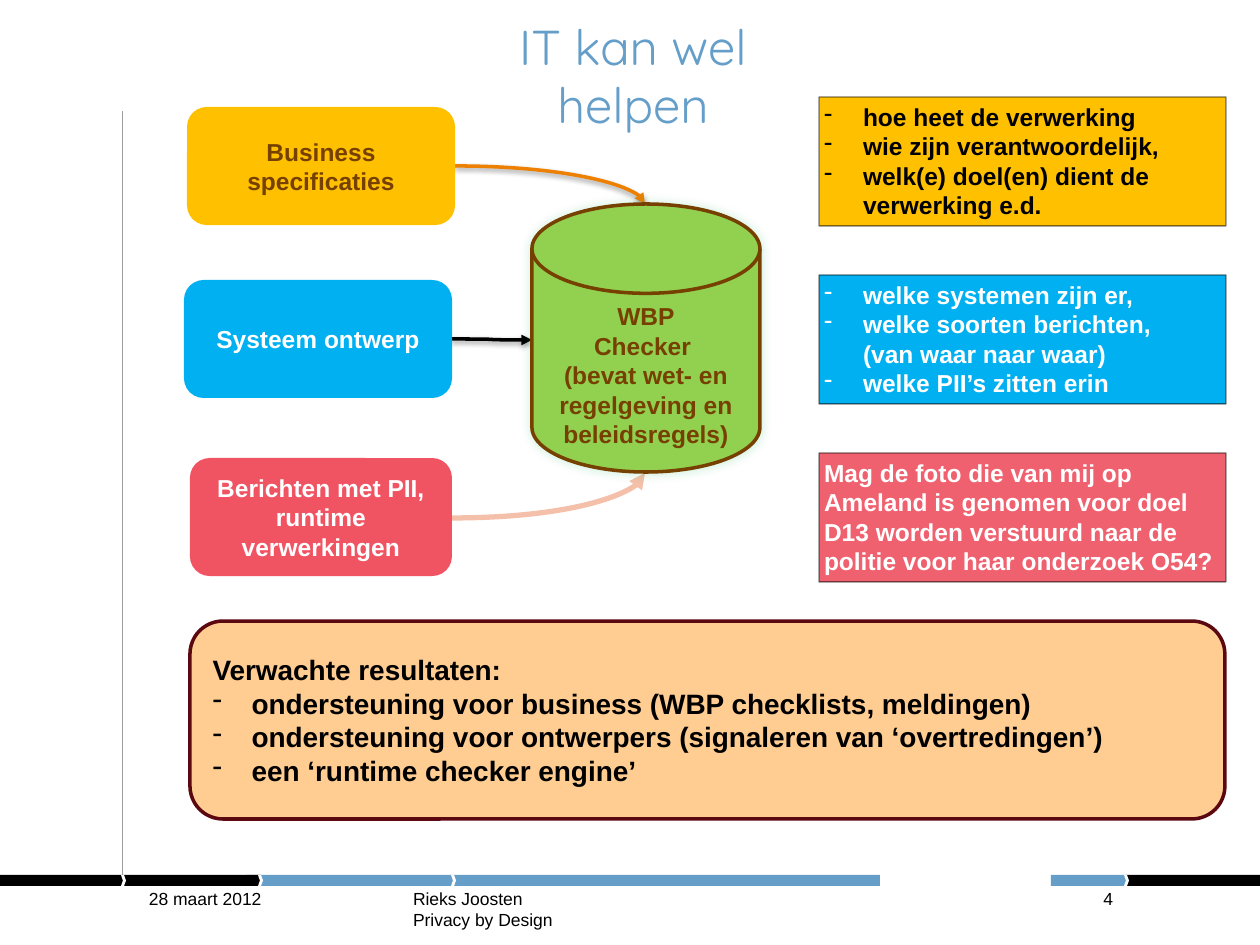
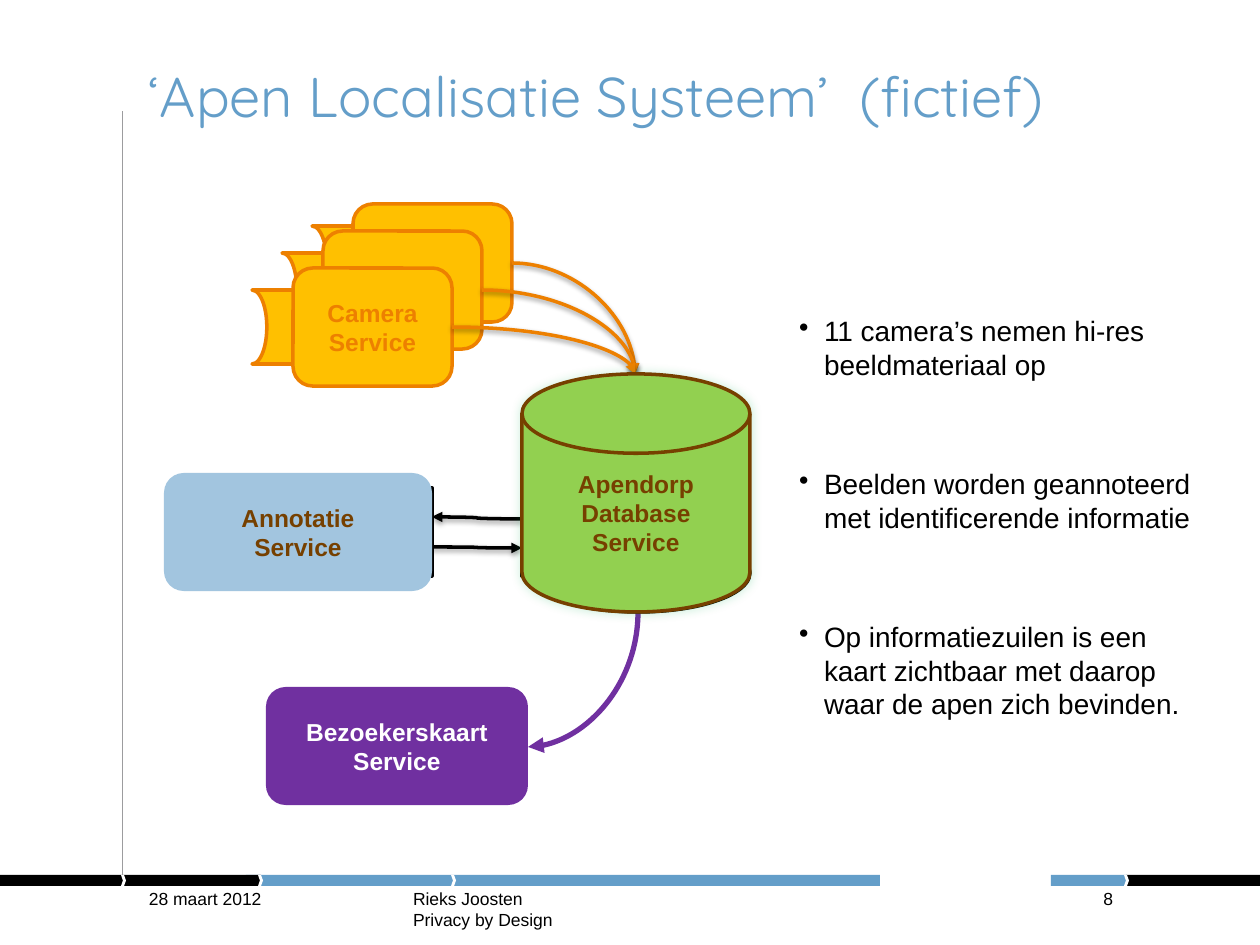
import copy
from dataclasses import dataclass, field
from typing import Optional

import lxml.etree
import pptx
import pptx.dml.color
import pptx.enum.shapes
import pptx.enum.text
import pptx.oxml
import pptx.oxml.ns
import pptx.util

RGBColor = pptx.dml.color.RGBColor
Shape = pptx.enum.shapes.MSO_SHAPE
Align = pptx.enum.text.PP_ALIGN
Anchor = pptx.enum.text.MSO_ANCHOR
qn = pptx.oxml.ns.qn

# Scale: 126 px to the inch
EMU_PER_PX = 914400 / 126
SLIDE_WIDTH, SLIDE_HEIGHT = 1260, 945

# Colours
BLUE = RGBColor(0x64, 0x9E, 0xC9)
BLACK = RGBColor(0, 0, 0)
WHITE = RGBColor(255, 255, 255)
GREY = RGBColor(0x9C, 0x9C, 0x9E)
AMBER = RGBColor(0xFF, 0xC0, 0x00)
ORANGE = RGBColor(0xED, 0x80, 0x00)
SKY = RGBColor(0x00, 0xB0, 0xF0)
PALE_BLUE = RGBColor(0xA2, 0xC5, 0xDF)
RED = RGBColor(0xF0, 0x54, 0x63)
LIGHT_RED = RGBColor(0xF0, 0x61, 0x6F)
SALMON = RGBColor(0xF4, 0xC0, 0xAA)
GREEN = RGBColor(0x92, 0xD0, 0x50)
SHADOW_GREEN = RGBColor(0x00, 0xB0, 0x50)
BROWN = RGBColor(0x76, 0x40, 0x00)
PEACH = RGBColor(0xFF, 0xCD, 0x92)
MAROON = RGBColor(0x5C, 0x08, 0x10)
PURPLE = RGBColor(0x70, 0x30, 0xA0)

# Text formats
TITLE = {"name": "Quicksand", "size": pptx.util.Pt(32), "bold": False}
SMALL_TITLE = TITLE | {"size": pptx.util.Pt(28)}
FOOTER = {"name": "Arial", "size": pptx.util.Pt(10), "bold": False}
BODY = FOOTER | {"size": pptx.util.Pt(16)}
RESULT = BODY | {"bold": True}
LABEL = RESULT | {"size": pptx.util.Pt(14)}


@dataclass(frozen=True)
class Box:
    left: int
    top: int
    width: int
    height: int


@dataclass(frozen=True)
class Text:
    lines: tuple[str, ...]
    color: RGBColor = BLACK
    format: dict = field(default_factory=lambda: LABEL)
    align: Align = Align.CENTER
    anchor: Anchor = Anchor.MIDDLE
    insets: tuple[int, int, int, int] = (13, 6, 13, 6)
    bullet: str = ""
    first_bullet: int = 0
    indent: int = 39
    gap: int = 0


@dataclass(frozen=True)
class Block:
    box: Box
    fill: RGBColor
    text: Optional[Text] = None
    kind: Shape = Shape.ROUNDED_RECTANGLE
    line: Optional[RGBColor] = None
    line_width: float = 2
    rotation: int = 0


@dataclass(frozen=True)
class Arrow:
    start: tuple[int, int]
    end: tuple[int, int]
    color: RGBColor
    width: float = 2
    preset: str = "curvedConnector2"
    arrowhead: str = "tailEnd"
    shadow: bool = True


def px(length: float) -> int:
    return round(length * EMU_PER_PX)


def add_effects(properties, color=None, alpha=0, blur=0.0, distance=0.0, angle=0) -> None:
    """Add an effect list: empty, or with one outer shadow."""
    effects = lxml.etree.SubElement(properties, qn("a:effectLst"))
    if color is None:
        return
    shadow = lxml.etree.SubElement(
        effects, qn("a:outerShdw"), blurRad=str(pptx.util.Pt(blur)),
        dist=str(pptx.util.Pt(distance)), dir=str(angle * 60000), rotWithShape="0")
    tint = lxml.etree.SubElement(shadow, qn("a:srgbClr"), val=str(color))
    lxml.etree.SubElement(tint, qn("a:alpha"), val=str(alpha * 1000))


def write_text(shape, text: Text) -> None:
    frame = shape.text_frame
    frame.word_wrap = True
    frame.vertical_anchor = text.anchor
    for side, inset in zip(("left", "top", "right", "bottom"), text.insets):
        setattr(frame, f"margin_{side}", px(inset))
    for index, line in enumerate(text.lines):
        paragraph = frame.add_paragraph() if index else frame.paragraphs[0]
        paragraph.text = line
        paragraph.alignment = text.align
        if index and text.gap:
            paragraph.space_before = pptx.util.Pt(text.gap)
        for run in paragraph.runs:
            for name, value in text.format.items():
                setattr(run.font, name, value)
            run.font.color.rgb = text.color
        for line_break in paragraph._p.findall(qn("a:br")):
            line_break.append(copy.deepcopy(paragraph.runs[0]._r.rPr))
        if text.bullet and index >= text.first_bullet:
            properties = paragraph._p.get_or_add_pPr()
            properties.set("marL", str(px(text.indent)))
            properties.set("indent", str(-px(text.indent)))
            lxml.etree.SubElement(properties, qn("a:buChar"), char=text.bullet)


def add_text(slide, box: Box, text: Text) -> None:
    shape = slide.shapes.add_textbox(px(box.left), px(box.top), px(box.width), px(box.height))
    write_text(shape, text)


def add_block(slide, block: Block):
    box = block.box
    shape = slide.shapes.add_shape(
        block.kind, px(box.left), px(box.top), px(box.width), px(box.height))
    shape.shadow.inherit = False
    shape.rotation = block.rotation
    shape.fill.solid()
    shape.fill.fore_color.rgb = block.fill
    if block.line is None:
        shape.line.fill.background()
    else:
        shape.line.color.rgb = block.line
        shape.line.width = pptx.util.Pt(block.line_width)
    if block.text:
        write_text(shape, block.text)
    return shape


def add_disk(slide, box: Box, text: Text) -> None:
    disk = add_block(slide, Block(box, GREEN, text, Shape.FLOWCHART_MAGNETIC_DISK, BROWN))
    properties = disk._element.spPr
    properties.remove(properties.find(qn("a:effectLst")))
    add_effects(properties, SHADOW_GREEN, 20, 6, 0, 225)


def add_arrow(slide, arrow: Arrow) -> None:
    connector = slide.shapes.add_connector(
        pptx.enum.shapes.MSO_CONNECTOR.CURVE, *map(px, arrow.start + arrow.end))
    connector.line.color.rgb = arrow.color
    connector.line.width = pptx.util.Pt(arrow.width)
    properties = connector._element.spPr
    properties.find(qn("a:prstGeom")).set("prst", arrow.preset)
    lxml.etree.SubElement(connector.line._ln, qn(f"a:{arrow.arrowhead}"), type="triangle")
    if arrow.shadow:
        add_effects(properties, BLACK, 38, 3.1, 1.6, 90)
    else:
        add_effects(properties)


def add_base_slide(presentation, title_box: Box, title: Text, number: str):
    """Start a blank slide with the shared band, rule, title and footer."""
    slide = presentation.slides.add_slide(presentation.slide_layouts[6])
    for left, width, color in ((1051, 76, BLUE), (1126, 134, BLACK),
                               (246, 634, BLUE), (0, 261, BLACK)):
        add_block(slide, Block(Box(left, 875, width, 11), color, kind=Shape.RECTANGLE))
    for left in (121, 1124, 451, 258):
        notch = add_block(slide, Block(Box(left, 875, 5, 11), WHITE, kind=Shape.CHEVRON))
        notch.adjustments[0] = 0.39
    rule = slide.shapes.add_connector(
        pptx.enum.shapes.MSO_CONNECTOR.STRAIGHT, px(122), px(875), px(122), px(111))
    rule.line.color.rgb = GREY
    rule.line.width = pptx.util.Pt(0.1)
    add_effects(rule._element.spPr)
    add_text(slide, title_box, title)
    for left, width, words, align in (
            (149, 229, "28 maart 2012", Align.LEFT),
            (413, 445, "Rieks Joosten\nPrivacy by Design", Align.LEFT),
            (1013, 100, number, Align.RIGHT)):
        add_text(slide, Box(left, 888, width, 33),
                 Text((words,), BLACK, FOOTER, align, Anchor.TOP, (0, 0, 0, 0)))
    return slide


def build_checker_slide(presentation) -> None:
    title = Text(("IT kan wel\nhelpen",), BLUE, SMALL_TITLE, anchor=Anchor.TOP,
                 insets=(0, 0, 0, 0))
    slide = add_base_slide(presentation, Box(149, 16, 968, 145), title, "4")

    # Sources and checker
    add_block(slide, Block(Box(190, 458, 262, 118), RED,
                           Text(("Berichten met PII, runtime verwerkingen",), WHITE)))
    for arrow in (
            Arrow((455, 166), (645, 204), ORANGE),
            Arrow((452, 339), (532, 340), BLACK, preset="curvedConnector3"),
            Arrow((452, 518), (645, 473), SALMON, 3, shadow=False)):
        add_arrow(slide, arrow)
    add_disk(slide, Box(532, 204, 228, 268), Text(
        ("WBP", "Checker ", "(bevat wet- en regelgeving en beleidsregels)"), BROWN,
        insets=(13, 35, 13, 6)))
    add_block(slide, Block(Box(184, 280, 268, 118), SKY, Text(("Systeem ontwerp",), WHITE)))
    add_block(slide, Block(Box(187, 107, 268, 118), AMBER,
                           Text(("Business specificaties",), BROWN)))

    # Explanations
    notes = (
        (AMBER, BLACK, "-", ("hoe heet de verwerking", "wie zijn verantwoordelijk,",
                             "welk(e) doel(en) dient de verwerking e.d.")),
        (SKY, WHITE, "-", ("welke systemen zijn er,",
                           "welke soorten berichten,\n(van waar naar waar)",
                           "welke PII’s zitten erin")),
        (LIGHT_RED, WHITE, "", ("Mag de foto die van mij op Ameland is genomen voor doel D13 "
                                "worden verstuurd naar de politie voor haar onderzoek O54?",)))
    for row, (fill, color, bullet, lines) in enumerate(notes):
        text = Text(lines, color, align=Align.LEFT, anchor=Anchor.TOP,
                    insets=(5, 5, 5, 5), bullet=bullet)
        note = add_block(slide, Block(Box(819, 97 + 178 * row, 407, 129), fill, text,
                                      Shape.RECTANGLE, BLACK, 0.75))
        tint = note.line._ln.find(".//" + qn("a:srgbClr"))
        lxml.etree.SubElement(tint, qn("a:alpha"), val="50000")

    # Expected results
    results = Text((
        "Verwachte resultaten:",
        "ondersteuning voor business (WBP checklists, meldingen)",
        "ondersteuning voor ontwerpers (signaleren van ‘overtredingen’)",
        "een ‘runtime checker engine’"),
        format=RESULT, align=Align.LEFT, bullet="-", first_bullet=1)
    add_block(slide, Block(Box(190, 621, 1035, 198), PEACH, results, line=MAROON))


def build_monkey_slide(presentation) -> None:
    title = Text(("‘Apen Localisatie Systeem’  (fictief)",), BLUE, TITLE, Align.LEFT,
                 Anchor.TOP, (0, 0, 0, 0))
    slide = add_base_slide(presentation, Box(149, 62, 968, 99), title, "8")
    add_block(slide, Block(Box(266, 687, 262, 118), PURPLE,
                           Text(("Bezoekerskaart", "Service"), WHITE)))

    # Cameras, from back to front
    cameras = ((353, 204), (323, 231), (293, 268))
    for left, top in cameras:
        label = Text(("Camera", "Service"), ORANGE) if (left, top) == cameras[-1] else None
        add_block(slide, Block(Box(left - 41, top + 22, 89, 74), AMBER, None,
                               Shape.FLOWCHART_STORED_DATA, ORANGE, rotation=180))
        add_block(slide, Block(Box(left, top, 159, 118), AMBER, label, line=ORANGE))

    # Data flows
    for left, top in cameras:
        add_arrow(slide, Arrow((left + 159, top + 59), (635, 374), ORANGE))
    for arrow in (
            Arrow((522, 519), (432, 517), BLACK, preset="curvedConnector3"),
            Arrow((432, 547), (522, 548), BLACK, preset="curvedConnector3"),
            Arrow((528, 747), (638, 612), PURPLE, 3, arrowhead="headEnd", shadow=False)):
        add_arrow(slide, arrow)

    # Dark backing of the two services
    add_block(slide, Block(Box(527, 534, 223, 78), BLACK, None, Shape.OVAL, BLACK))
    for left in (522, 385):
        for top in (488, 517):
            add_block(slide, Block(Box(left, top, 47, 59), BLACK, None, Shape.RECTANGLE, BLACK))

    # Database and annotation
    add_disk(slide, Box(522, 374, 228, 238),
             Text(("Apendorp", "Database", "Service"), BROWN))
    add_block(slide, Block(Box(164, 473, 268, 118), PALE_BLUE,
                           Text(("Annotatie", "Service"), BROWN)))

    # Explanation
    add_text(slide, Box(799, 314, 407, 456), Text((
        "11 camera’s nemen hi-res beeldmateriaal op",
        "Beelden worden geannoteerd met identificerende informatie",
        "Op informatiezuilen is een kaart zichtbaar met daarop waar de apen zich bevinden."),
        format=BODY, align=Align.LEFT, anchor=Anchor.TOP, insets=(0, 0, 0, 0),
        bullet="•", indent=25, gap=49))


def main() -> None:
    presentation = pptx.Presentation()
    presentation.slide_width = px(SLIDE_WIDTH)
    presentation.slide_height = px(SLIDE_HEIGHT)
    build_checker_slide(presentation)
    build_monkey_slide(presentation)
    presentation.save("out.pptx")


if __name__ == "__main__":
    main()
